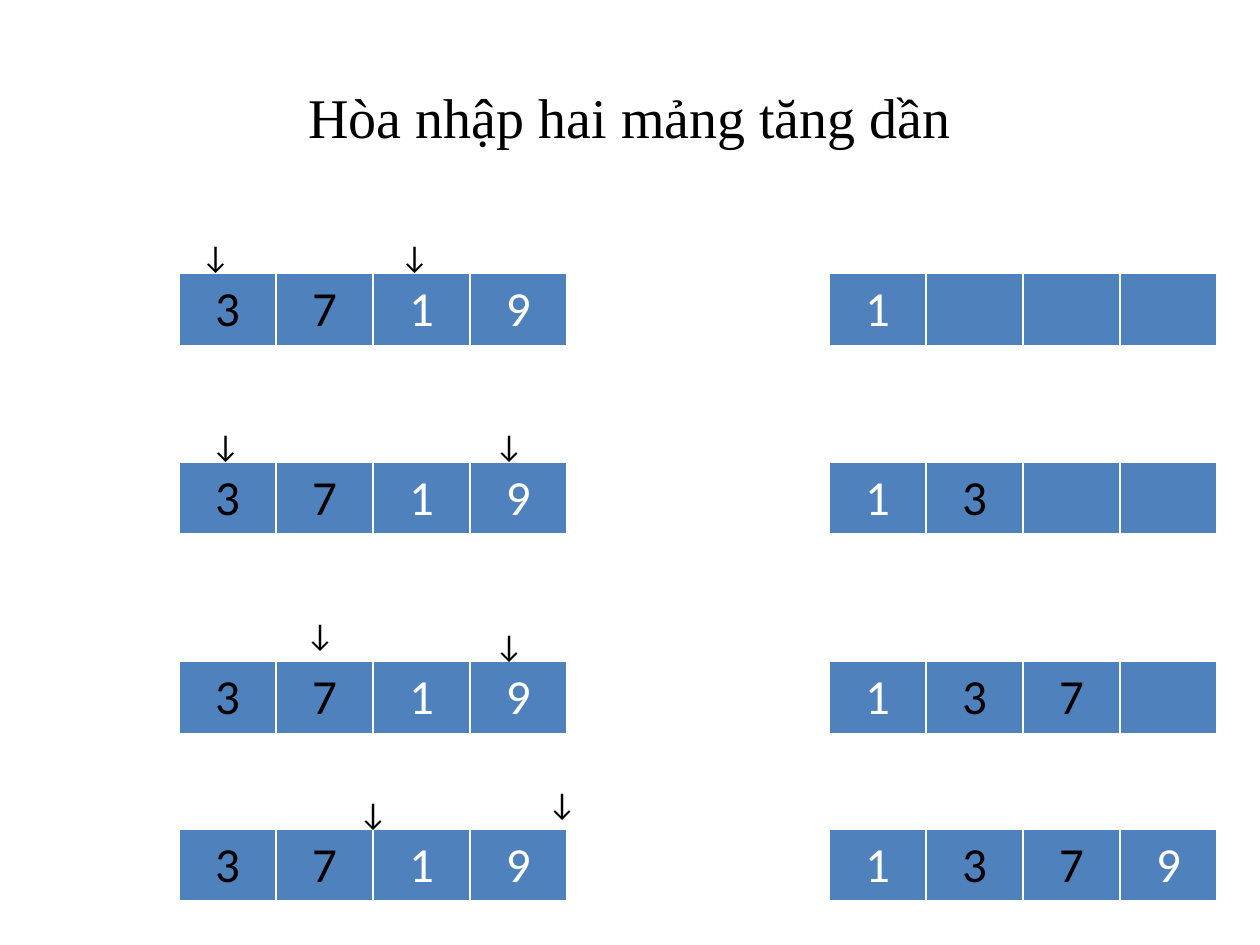
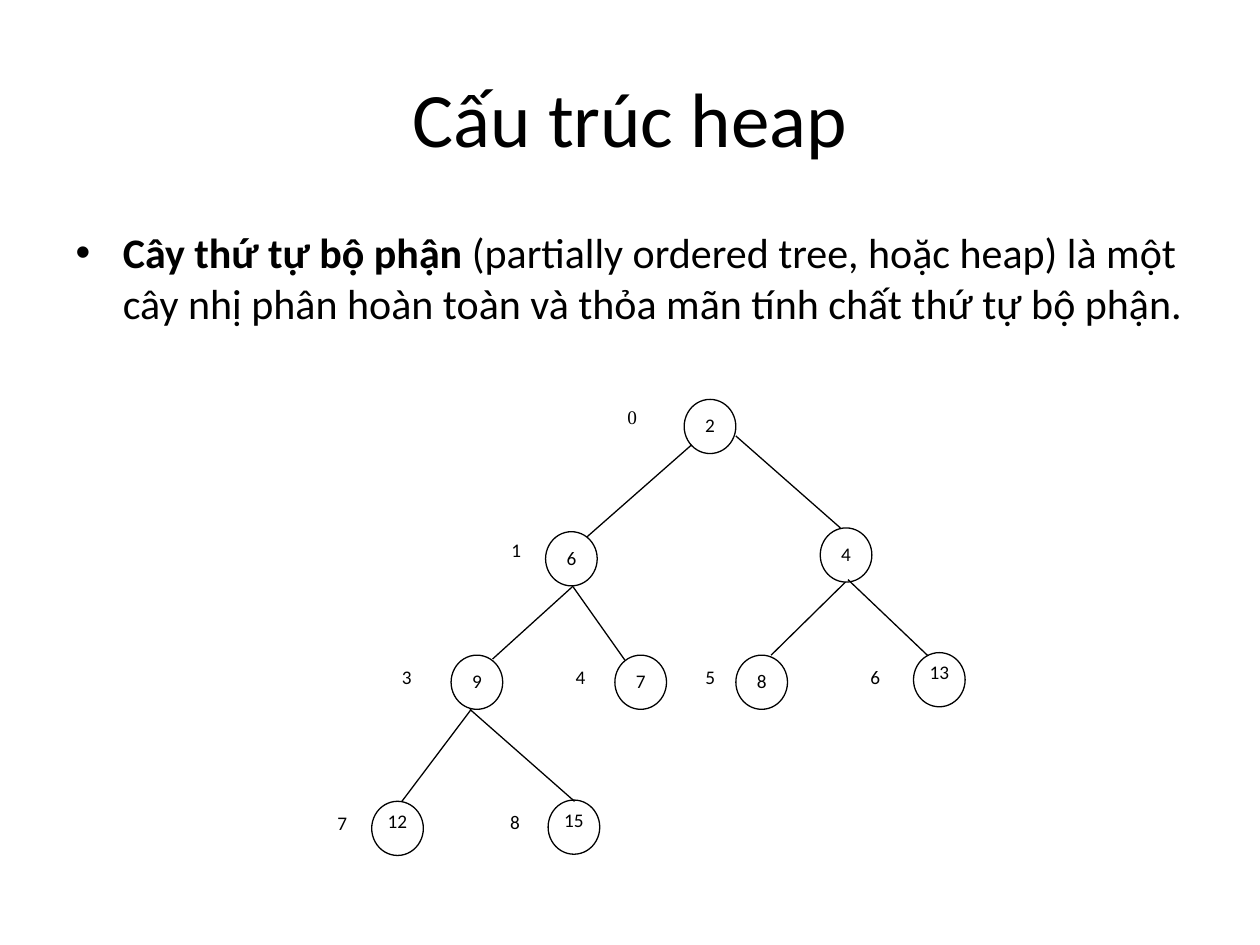
"""Build two slides: merging two ascending arrays, and the heap structure."""
from lxml import etree
from pptx import Presentation
from pptx.dml.color import RGBColor
from pptx.enum.shapes import MSO_CONNECTOR, MSO_SHAPE
from pptx.enum.text import MSO_ANCHOR, PP_ALIGN
from pptx.oxml.ns import qn
from pptx.util import Inches, Pt

BLACK = RGBColor(0x00, 0x00, 0x00)
WHITE = RGBColor(0xFF, 0xFF, 0xFF)
BLUE = RGBColor(0x4F, 0x81, 0xBD)
SANS, SERIF = "Calibri", "Times New Roman"
CENTER, LEFT = PP_ALIGN.CENTER, PP_ALIGN.LEFT
TOP = MSO_ANCHOR.TOP
ELLIPSE, RECT = MSO_SHAPE.OVAL, MSO_SHAPE.RECTANGLE
LINE = MSO_CONNECTOR.STRAIGHT

SOURCE_X, RESULT_X = 1.42, 6.58
CELL_W, CELL_H = 0.77, 0.57
NODE_W, NODE_H = 0.41, 0.43
SOURCE = "3719"
FIRST_ARRAY = "37"

# Table top, merged values, (left, top) of both arrows
MERGE_STEPS = [
    (2.17, "1", [(1.5, 1.83), (3.08, 1.83)]),
    (3.67, "13", [(1.58, 3.33), (3.83, 3.33)]),
    (5.25, "137", [(2.33, 4.83), (3.83, 4.92)]),
    (6.58, "1379", [(2.75, 6.25), (4.25, 6.17)]),
]
NODES = [
    ("2", 5.43, 3.17), ("6", 4.33, 4.22), ("4", 6.51, 4.19),
    ("9", 3.58, 5.2), ("7", 4.88, 5.2), ("8", 5.84, 5.2),
    ("13", 7.25, 5.18), ("12", 2.95, 6.36), ("15", 4.35, 6.35),
]
EDGES = [
    (5.49, 3.53, 4.66, 4.26), (5.84, 3.46, 6.67, 4.19),
    (4.55, 4.65, 3.91, 5.23), (4.55, 4.66, 4.96, 5.24),
    (6.71, 4.62, 6.12, 5.2), (6.73, 4.6, 7.36, 5.2),
    (3.74, 5.63, 3.19, 6.36), (3.73, 5.63, 4.56, 6.36),
]
INDEXES = [
    ("0", 4.88, 3.17, 0.41), ("1", 3.96, 4.22, 0.28),
    ("3", 3.09, 5.23, 0.41), ("4", 4.47, 5.23, 0.28),
    ("5", 5.5, 5.23, 0.28), ("6", 6.81, 5.23, 0.41),
    ("7", 2.58, 6.39, 0.28), ("8", 3.95, 6.38, 0.28),
]


def style_run(r, size, color=BLACK, font=SANS, bold=False):
    """Format one run."""
    r.font.size = Pt(size)
    r.font.name = font
    r.font.bold = bold
    r.font.color.rgb = color


def set_text(tf, text, size, align=LEFT, color=BLACK, font=SANS):
    """Write one formatted paragraph and return it."""
    tf.text = text
    p = tf.paragraphs[0]
    p.alignment = align
    for r in p.runs:
        style_run(r, size, color, font)
    return p


def place(sp, x, y, w, h):
    """Move and size a shape, in inches."""
    sp.left, sp.top, sp.width, sp.height = map(Inches, (x, y, w, h))


def add_titled_slide(prs, layout, title, size, font=SANS):
    """Add a slide with a formatted title."""
    slide = prs.slides.add_slide(prs.slide_layouts.get_by_name(layout))
    place(slide.shapes.title, 0.5, 0.3, 9, 1.25)
    set_text(slide.shapes.title.text_frame, title, size, CENTER, font=font)
    return slide


def add_array(slide, x, y, values):
    """Add a one-row table of four cells, values coloured by source array."""
    table = slide.shapes.add_table(
        1, len(SOURCE), Inches(x), Inches(y),
        Inches(CELL_W * len(SOURCE)), Inches(CELL_H)).table
    for i, value in enumerate(values.ljust(len(SOURCE))):
        cell = table.cell(0, i)
        cell.fill.solid()
        cell.fill.fore_color.rgb = BLUE
        if value.strip():
            color = BLACK if value in FIRST_ARRAY else WHITE
            set_text(cell.text_frame, value, 28, CENTER, color)


def add_arrow(slide, x, y):
    """Add a text arrow that points at the current element."""
    sp = slide.shapes.add_textbox(Inches(x), Inches(y), Inches(0.75), Inches(0.4))
    sp.text_frame.word_wrap = True
    set_text(sp.text_frame, "↓", 18)


def add_label(shapes, kind, text, x, y, w, line, align, font=SANS):
    """Add a white shape with a small top-anchored text."""
    sp = shapes.add_shape(kind, Inches(x), Inches(y), Inches(w), Inches(NODE_H))
    sp.shadow.inherit = False
    sp.fill.solid()
    sp.fill.fore_color.rgb = WHITE
    sp.line.color.rgb = line
    sp.line.width = Pt(0.75)
    tf = sp.text_frame
    tf.vertical_anchor = TOP
    if len(text) > 1:
        tf.margin_left = tf.margin_top = tf.margin_right = tf.margin_bottom = 0
    set_text(tf, text, 11, align, font=font).space_after = Pt(10)


def add_edge(shapes, x1, y1, x2, y2):
    """Add a thin black line from a parent to a child."""
    line = shapes.add_connector(LINE, *map(Inches, (x1, y1, x2, y2)))
    line.line.color.rgb = BLACK
    line.line.width = Pt(0.75)
    etree.SubElement(line._element.spPr, qn("a:effectLst"))


def add_merge_slide(prs):
    """Show the steps of merging two ascending arrays."""
    slide = add_titled_slide(prs, "Title Only", "Hòa nhập hai mảng tăng dần", 32, SERIF)
    for y, merged, arrows in MERGE_STEPS:
        add_array(slide, SOURCE_X, y, SOURCE)
        add_array(slide, RESULT_X, y, merged)
        for arrow in arrows:
            add_arrow(slide, *arrow)


def add_heap_slide(prs):
    """Define the heap and draw it as a tree."""
    slide = add_titled_slide(prs, "Title and Content", "Cấu trúc heap", 44)
    body = slide.placeholders[1]
    place(body, 0.5, 1.75, 9, 2)
    p = set_text(body.text_frame, "Cây thứ tự bộ phận", 24)
    p.runs[0].font.bold = True
    r = p.add_run()
    r.text = (" (partially ordered tree, hoặc heap) là một cây nhị phân "
              "hoàn toàn và thỏa mãn tính chất thứ tự bộ phận.")
    style_run(r, 24)

    tree = slide.shapes.add_group_shape().shapes
    for value, x, y in NODES:
        add_label(tree, ELLIPSE, value, x, y, NODE_W, BLACK, CENTER)
    for edge in EDGES:
        add_edge(tree, *edge)
    for index, x, y, w in INDEXES:
        font = SERIF if index == "0" else SANS
        add_label(tree, RECT, index, x, y, w, WHITE, LEFT, font)


def main():
    """Build and save the presentation."""
    prs = Presentation()
    prs.slide_width, prs.slide_height = Inches(10), Inches(7.5)
    add_merge_slide(prs)
    add_heap_slide(prs)
    prs.save("out.pptx")


if __name__ == "__main__":
    main()
